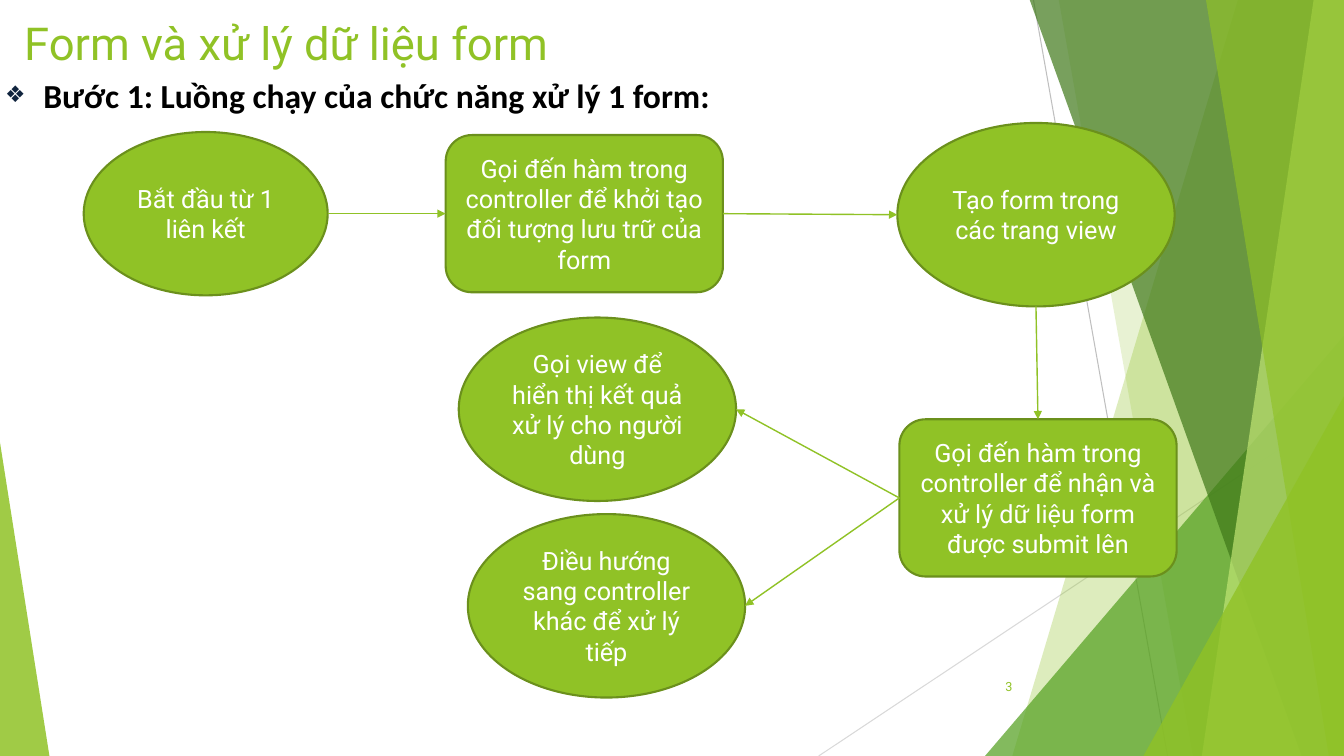
from dataclasses import dataclass

from lxml.etree import SubElement
from pptx import Presentation
from pptx.dml.color import RGBColor
from pptx.enum.shapes import MSO_CONNECTOR, MSO_SHAPE
from pptx.enum.text import MSO_ANCHOR, MSO_AUTO_SIZE, PP_ALIGN
from pptx.oxml.ns import qn
from pptx.util import Pt

SCALE = 9144
TOP, LEFT, BOTTOM, RIGHT = range(4)


@dataclass(frozen=True)
class Theme:
    """Colours, fonts and type sizes of the slide."""
    green: str = "90C226"
    outline: str = "6B901C"
    forest: str = "3F7819"
    leaf: str = "54A021"
    lime: str = "C0E474"
    grey: str = "BFBFBF"
    pale: str = "D9D9D9"
    white: str = "FFFFFF"
    black: str = "000000"
    navy: str = "10243E"
    font: str = "Roboto"
    heading_font: str = "Calibri"
    title: float = 32.4
    heading: float = 24
    node: float = 18
    number: float = 9


def px(n):
    """Turn px into EMU."""
    return int(n * SCALE)


def rgb(color):
    """Turn a hex string into a colour."""
    return RGBColor.from_string(color)


def write(tf, text, *, font, size, color, bold=False, align=PP_ALIGN.LEFT,
          anchor=MSO_ANCHOR.TOP, before=0):
    """Put formatted text in a text frame and return its paragraph."""
    tf.word_wrap = True
    tf.auto_size = MSO_AUTO_SIZE.NONE
    tf.vertical_anchor = anchor
    p = tf.paragraphs[0]
    p.alignment = align
    p.space_before = Pt(before)
    r = p.add_run()
    r.text = text
    r.font.name = font
    r.font.size = Pt(size)
    r.font.bold = bold
    r.font.color.rgb = rgb(color)
    return p


class Deck:
    """Holds the theme and the current slide."""

    def __init__(self, theme, width, height):
        """Open a presentation with one title and content slide."""
        self.t = theme
        self.prs = Presentation()
        self.prs.slide_width, self.prs.slide_height = px(width), px(height)
        self.s = self.prs.slides.add_slide(self.prs.slide_layouts[1])

    def placeholder(self, idx, x, y, w, h):
        """Move a placeholder into place, in front of what is drawn."""
        sp = self.s.placeholders[idx]
        sp.left, sp.top, sp.width, sp.height = map(px, (x, y, w, h))
        sp.element.getparent().append(sp.element)
        return sp.text_frame

    def title(self, text, *box):
        """Fill the title placeholder."""
        write(self.placeholder(0, *box), text, font=self.t.font,
              size=self.t.title, color=self.t.green)

    def bullet(self, text, *box):
        """Fill the body placeholder with one bulleted line."""
        tf = self.placeholder(1, *box)
        tf.margin_left = tf.margin_right = tf.margin_bottom = 0
        tf.margin_top = px(9)
        p = write(tf, text, font=self.t.heading_font, size=self.t.heading,
                  color=self.t.black, bold=True, align=PP_ALIGN.JUSTIFY, before=6.2)
        pPr = p._p.get_or_add_pPr()
        pPr.set("marL", str(px(39)))
        pPr.set("indent", str(px(-38)))
        SubElement(SubElement(pPr, qn("a:buClr")), qn("a:srgbClr"), val=self.t.navy)
        SubElement(pPr, qn("a:buSzPct"), val="68000")
        SubElement(pPr, qn("a:buChar"), char="❖")

    def number(self, text, *box):
        """Add the slide number."""
        tf = self.s.shapes.add_textbox(*map(px, box)).text_frame
        write(tf, text, font=self.t.font, size=self.t.number, color=self.t.green,
              align=PP_ALIGN.RIGHT, anchor=MSO_ANCHOR.MIDDLE)

    def tint(self, sp, color, opacity):
        """Give a shape a translucent fill and no line."""
        sp.shadow.inherit = False
        sp.fill.solid()
        sp.fill.fore_color.rgb = rgb(color)
        sp.line.fill.background()
        clr = sp.element.spPr.find(qn("a:solidFill")).find(qn("a:srgbClr"))
        SubElement(clr, qn("a:alpha"), val=str(opacity * 1000))

    def band(self, points, color, opacity):
        """Add a translucent polygon."""
        start, *rest = points
        builder = self.s.shapes.build_freeform(*start, scale=SCALE)
        builder.add_line_segments(rest, close=True)
        self.tint(builder.convert_to_shape(), color, opacity)

    def triangle(self, box, apex, color, opacity):
        """Add a translucent triangle with its apex at a share of the width."""
        sp = self.s.shapes.add_shape(MSO_SHAPE.ISOSCELES_TRIANGLE, *map(px, box))
        sp.adjustments[0] = apex
        self.tint(sp, color, opacity)

    def line(self, start, end, color, width):
        """Add a straight line between two points."""
        cn = self.s.shapes.add_connector(MSO_CONNECTOR.STRAIGHT, *map(px, start + end))
        cn.line.color.rgb = rgb(color)
        cn.line.width = Pt(width)
        SubElement(cn.element.spPr, qn("a:effectLst"))
        return cn

    def node(self, kind, text, *box):
        """Add a step of the flow."""
        sp = self.s.shapes.add_shape(kind, *map(px, box))
        sp.shadow.inherit = False
        sp.fill.solid()
        sp.fill.fore_color.rgb = rgb(self.t.green)
        sp.line.color.rgb = rgb(self.t.outline)
        sp.line.width = Pt(1.5)
        write(sp.text_frame, text, font=self.t.font, size=self.t.node,
              color=self.t.white, align=PP_ALIGN.CENTER, anchor=MSO_ANCHOR.MIDDLE)
        return sp

    def arrow(self, begin, begin_side, end, end_side):
        """Add an arrow between the sides of two steps."""
        cn = self.line(side_point(begin, begin_side), side_point(end, end_side),
                       self.t.green, 1)
        SubElement(cn.line._get_or_add_ln(), qn("a:tailEnd"), type="triangle")
        if begin.auto_shape_type == MSO_SHAPE.ROUNDED_RECTANGLE:
            cn.begin_connect(begin, begin_side)
        if end.auto_shape_type == MSO_SHAPE.ROUNDED_RECTANGLE:
            cn.end_connect(end, end_side)


def side_point(sp, side):
    """Return the middle of a side in px."""
    fx, fy = {TOP: (0.5, 0), LEFT: (0, 0.5), BOTTOM: (0.5, 1), RIGHT: (1, 0.5)}[side]
    return (sp.left + sp.width * fx) / SCALE, (sp.top + sp.height * fy) / SCALE


def main():
    """Build the slide and save it."""
    t = Theme()
    w, h = 1333, 750
    deck = Deck(t, w, h)

    deck.line((1025, 0), (1158, h), t.grey, 0.75)
    deck.line((w, 403), (812, h), t.pale, 0.75)
    wedge = (977, 333, 356, 417)
    bands = [(1228, 1004, t.green, 30), (1050, 1183, t.green, 20),
             (1021, 1291, t.forest, 70), (1303, 1192, t.lime, 70),
             (1196, 1318, t.green, 65)]
    for i, (top, bottom, color, opacity) in enumerate(bands):
        if i == 2:
            deck.triangle(wedge, 1, t.leaf, 72)
        deck.band([(top, -1), (w, -1), (w, h), (bottom, h)], color, opacity)
    deck.triangle((1134, 393, 199, 357), 1, t.green, 80)
    deck.triangle((0, 439, 49, 311), 0, t.green, 85)

    deck.title("Form và xử lý dữ liệu form", 14, 10, 1007, 59)
    deck.number("3", 939, 661, 75, 40)
    deck.bullet("Bước 1: Luồng chạy của chức năng xử lý 1 form:", 4, 65, 1322, 49)

    oval, box = MSO_SHAPE.OVAL, MSO_SHAPE.ROUNDED_RECTANGLE
    link = deck.node(oval, "Bắt đầu từ 1 liên kết", 83, 131, 242, 162)
    create = deck.node(box, "Gọi đến hàm trong controller để khởi tạo đối tượng "
                       "lưu trữ của form", 442, 134, 275, 156)
    form = deck.node(oval, "Tạo form trong các trang view", 890, 122, 275, 182)
    submit = deck.node(box, "Gọi đến hàm trong controller để nhận và xử lý dữ liệu "
                       "form được submit lên", 892, 416, 275, 156)
    result = deck.node(oval, "Gọi view để hiển thị kết quả xử lý cho người dùng",
                       455, 315, 275, 182)
    redirect = deck.node(oval, "Điều hướng sang controller khác để xử lý tiếp",
                         464, 510, 275, 182)

    deck.arrow(link, RIGHT, create, LEFT)
    deck.arrow(create, RIGHT, form, LEFT)
    deck.arrow(form, BOTTOM, submit, TOP)
    for target in (result, redirect):
        deck.arrow(submit, LEFT, target, RIGHT)

    deck.prs.save("out.pptx")


if __name__ == "__main__":
    main()
